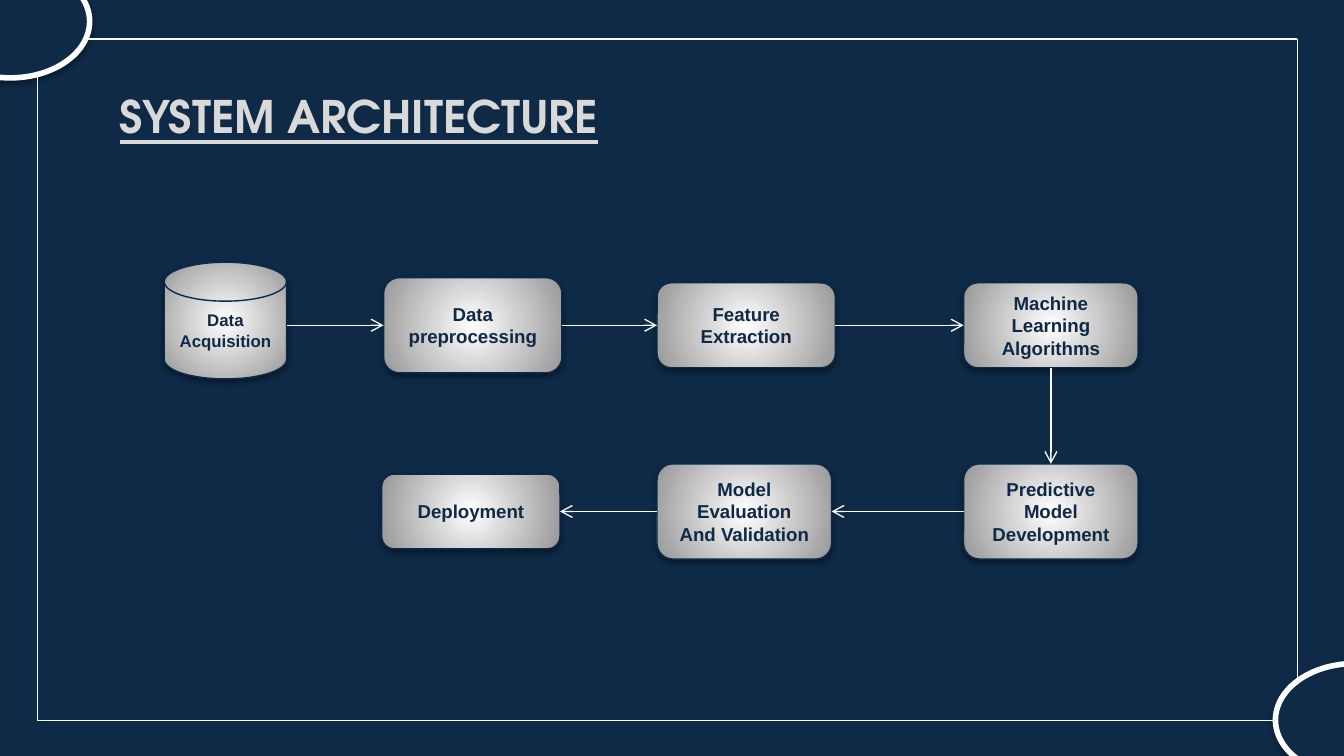
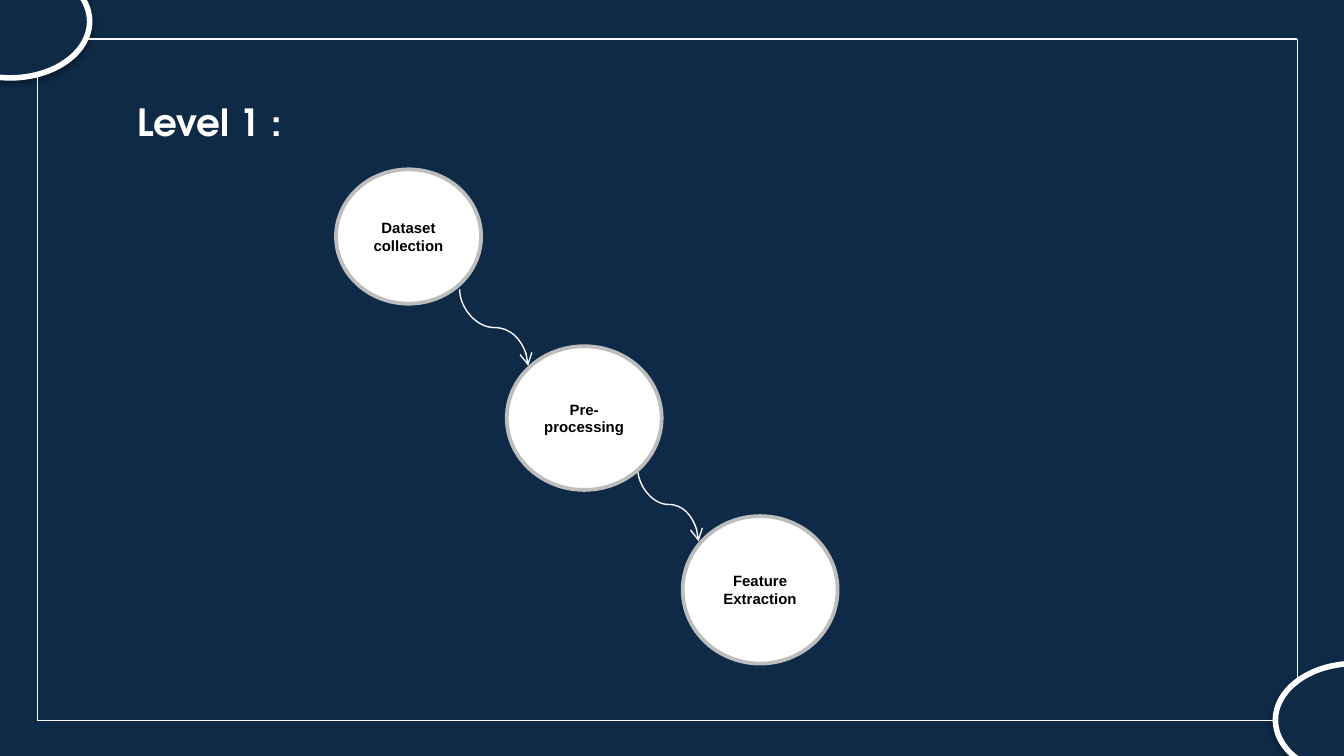
from lxml.etree import SubElement
from pptx import Presentation
from pptx.dml.color import RGBColor
from pptx.enum.shapes import MSO_CONNECTOR, MSO_SHAPE
from pptx.enum.text import MSO_ANCHOR, MSO_AUTO_SIZE, PP_ALIGN
from pptx.oxml.ns import qn
from pptx.util import Pt

COLORS = {
    "navy": "0E2A47",
    "outline": "0C2947",
    "white": "FFFFFF",
    "line": "F9F9F9",
    "title": "D9D9D9",
    "gradient_edge": "979797",
    "ring": "BDBDBD",
    "black": "000000",
}
RGB = {name: RGBColor.from_string(value) for name, value in COLORS.items()}
TITLE_FONT = "TeX Gyre Adventor"
BODY_FONT = "Arial"


def add_block(slide, kind, box, outline, outline_width, shadow=True, text="", size=10, color="navy"):
    shape = slide.shapes.add_shape(kind, *[Pt(value) for value in box])
    shape.line.color.rgb = RGB[outline]
    shape.line.width = Pt(outline_width)
    shape.shadow.inherit = False
    if shadow:
        effects = shape._element.spPr.find(qn("a:effectLst"))
        outer = SubElement(effects, qn("a:outerShdw"), blurRad=str(Pt(3.15)),
                           dist=str(Pt(1.57)), dir="5400000", rotWithShape="0")
        shade = SubElement(outer, qn("a:srgbClr"), val=COLORS["black"])
        SubElement(shade, qn("a:alpha"), val="38000")
    if text:
        shape.text_frame.text = text
        shape.text_frame.word_wrap = True
        shape.text_frame.vertical_anchor = MSO_ANCHOR.MIDDLE
        for paragraph in shape.text_frame.paragraphs:
            paragraph.alignment = PP_ALIGN.CENTER
            paragraph.font.name = BODY_FONT
            paragraph.font.size = Pt(size)
            paragraph.font.bold = True
            paragraph.font.color.rgb = RGB[color]
    return shape


def add_line(slide, begin, end, kind=MSO_CONNECTOR.STRAIGHT, arrow=False):
    connector = slide.shapes.add_connector(kind, *[Pt(value) for value in (*begin, *end)])
    connector.line.color.rgb = RGB["line"]
    connector.line.width = Pt(0.75)
    properties = connector._element.spPr
    if arrow:
        SubElement(properties.find(qn("a:ln")), qn("a:tailEnd"), type="arrow")
    SubElement(properties, qn("a:effectLst"))
    return connector


presentation = Presentation()
presentation.slide_width = Pt(720)
presentation.slide_height = Pt(405)
background = presentation.slide_master.background.fill
background.solid()
background.fore_color.rgb = RGB["navy"]

titles = [
    ("SYSTEM ARCHITECTURE", (57, 44, 314.5, 36), 24, "title", True),
    ("Level 1 :", (66.25, 49.75, 96, 31.5), 20, "white", False),
]
frame_lines = [
    ((45.5, 21), (695, 21)),
    ((695, 21), (695, 367)),
    ((20, 41.5), (20, 386)),
    ((20, 386), (683, 386)),
]
slides = []
for text, box, size, color, underline in titles:
    slide = presentation.slides.add_slide(presentation.slide_layouts[5])
    slides.append(slide)
    for left, top in [(683.25, 355.5), (-37, -18.75)]:
        corner = add_block(slide, MSO_SHAPE.OVAL, (left, top, 85, 60.5), "white", 3)
        corner.fill.solid()
        corner.fill.fore_color.rgb = RGB["navy"]
    for begin, end in frame_lines:
        add_line(slide, begin, end)

    title = slide.shapes.title
    title.left, title.top, title.width, title.height = [Pt(value) for value in box]
    title.text_frame.text = text
    title.text_frame.word_wrap = False
    title.text_frame.auto_size = MSO_AUTO_SIZE.SHAPE_TO_FIT_TEXT
    title.text_frame.vertical_anchor = MSO_ANCHOR.TOP
    paragraph = title.text_frame.paragraphs[0]
    paragraph.alignment = PP_ALIGN.LEFT
    paragraph.font.name = TITLE_FONT
    paragraph.font.size = Pt(size)
    paragraph.font.bold = True
    paragraph.font.underline = underline
    paragraph.font.color.rgb = RGB[color]

architecture, level_one = slides

UPPER_ROW, LOWER_ROW = 174.25, 274
ROUNDED, PROCESS = MSO_SHAPE.ROUNDED_RECTANGLE, MSO_SHAPE.FLOWCHART_ALTERNATE_PROCESS
stages = [
    ("Data Acquisition", MSO_SHAPE.FLOWCHART_MAGNETIC_DISK, 88, 171.75, 65.5, 62.5, 9),
    ("Data preprocessing", ROUNDED, 205.5, UPPER_ROW, 95.5, 51, 10),
    ("Feature Extraction", PROCESS, 352, UPPER_ROW, 95.5, 45.5, 10),
    ("Machine Learning Algorithms", ROUNDED, 516.25, UPPER_ROW, 93.5, 45.5, 10),
    ("Predictive Model Development", ROUNDED, 516.25, LOWER_ROW, 93.5, 51, 10),
    ("Model Evaluation\nAnd Validation", PROCESS, 352, LOWER_ROW, 93.5, 51, 10),
    ("Deployment", ROUNDED, 204.5, LOWER_ROW, 95.5, 40, 10),
]
blocks = []
for text, kind, left, middle, width, height, size in stages:
    block = add_block(architecture, kind, (left, middle - height / 2, width, height),
                      "outline", 0.75, text=text, size=size)
    block.fill.gradient()
    for stop, color in zip(block.fill.gradient_stops, ("white", "gradient_edge")):
        stop.color.rgb = RGB[color]
    gradient = block._element.spPr.find(qn("a:gradFill"))
    gradient.remove(gradient.find(qn("a:lin")))
    radial = SubElement(gradient, qn("a:path"), path="circle")
    SubElement(radial, qn("a:fillToRect"), l="50000", t="50000", r="50000", b="50000")
    blocks.append(block)

first_arrow = add_line(architecture, (153.5, UPPER_ROW), (205.5, UPPER_ROW), arrow=True)
first_arrow.end_connect(blocks[1], 1)
sides = [(3, 1), (3, 1), (2, 0), (1, 3), (1, 3)]
for source, target, (begin_side, end_side) in zip(blocks[1:], blocks[2:], sides):
    arrow = add_line(architecture, (0, 0), (0, 0), arrow=True)
    arrow.begin_connect(source, begin_side)
    arrow.end_connect(target, end_side)

curves = [(246.25, 155, 283, 196), (341.5, 250.5, 374.25, 290)]
for left, top, right, bottom in curves:
    center_x, center_y = (left + right) / 2, (top + bottom) / 2
    half_width, half_height = (right - left) / 2, (bottom - top) / 2
    curve = add_line(level_one, (center_x + half_height, center_y - half_width),
                     (center_x - half_height, center_y + half_width),
                     MSO_CONNECTOR.CURVE, arrow=True)
    curve._element.spPr.find(qn("a:xfrm")).set("rot", "16200000")

steps = [
    ("Dataset collection", (180, 90.75, 77.75, 72)),
    ("Pre-processing", (271.5, 185.5, 83, 77)),
    ("Feature Extraction", (365.75, 276.5, 83, 79)),
]
for text, box in steps:
    circle = add_block(level_one, MSO_SHAPE.OVAL, box, "ring", 2, shadow=False,
                       text=text, size=8, color="black")
    circle.fill.solid()
    circle.fill.fore_color.rgb = RGB["white"]

presentation.save("out.pptx")
